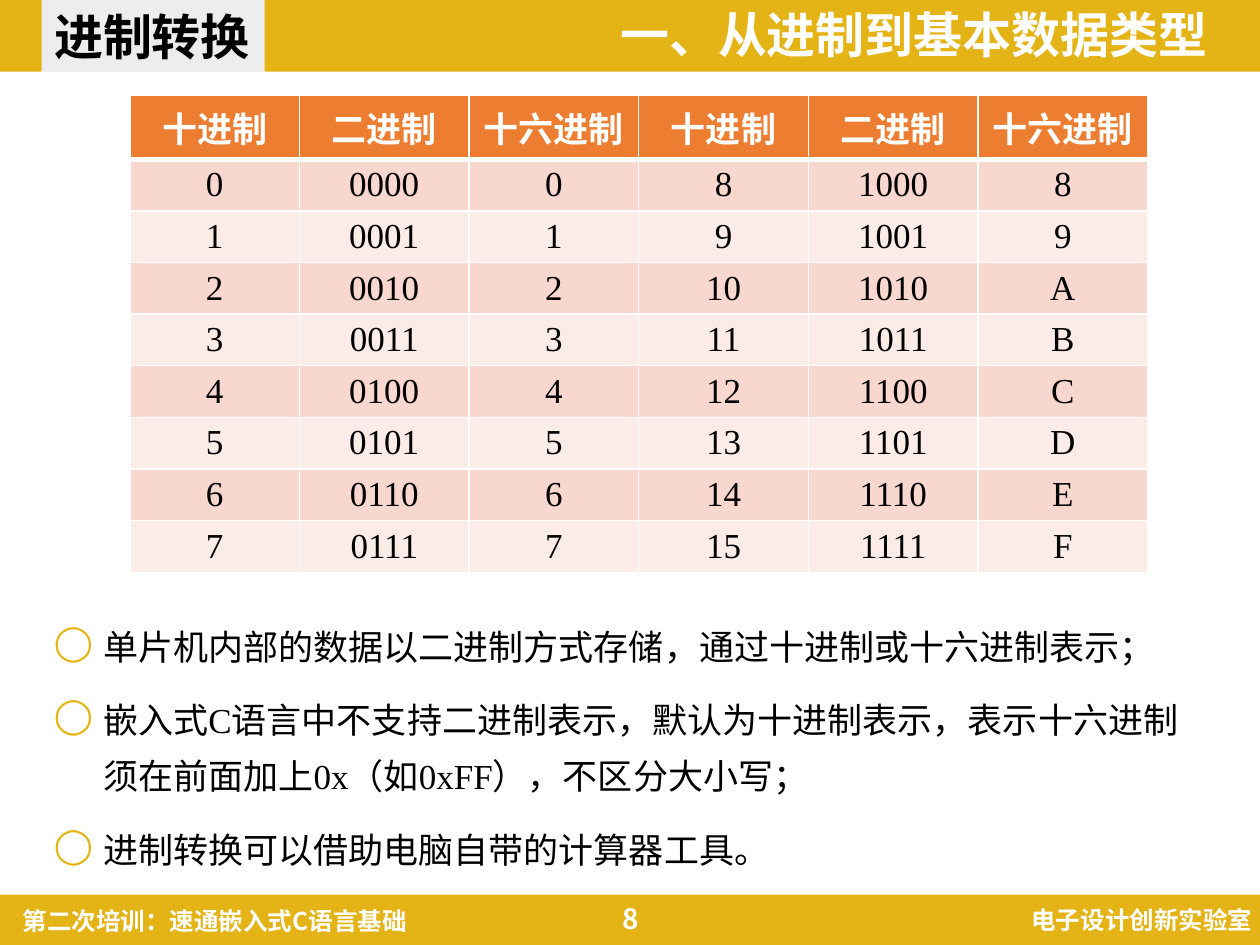
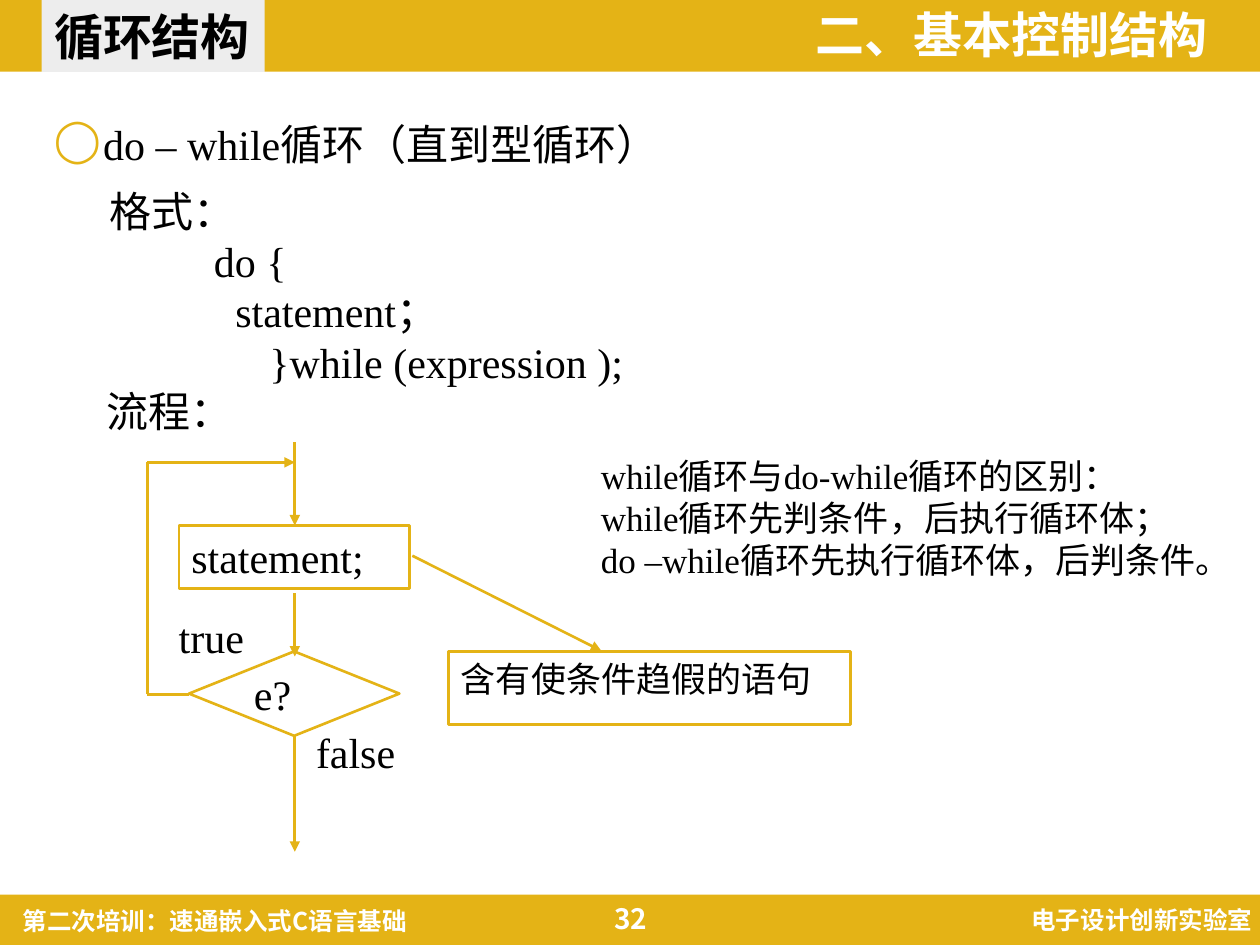
from itertools import pairwise

from lxml import etree
from pptx import Presentation
from pptx.dml.color import RGBColor
from pptx.enum.shapes import MSO_CONNECTOR, MSO_SHAPE
from pptx.enum.text import MSO_ANCHOR, MSO_AUTO_SIZE, PP_ALIGN
from pptx.oxml.ns import qn
from pptx.util import Inches, Pt

GOLD = RGBColor(0xE4, 0xB3, 0x16)
ORANGE = RGBColor(0xED, 0x7D, 0x31)
DARK_STRIPE = RGBColor(0xF8, 0xD7, 0xCE)
LIGHT_STRIPE = RGBColor(0xFC, 0xEC, 0xE8)
LIGHT_GRAY = RGBColor(0xED, 0xED, 0xED)
WHITE = RGBColor(0xFF, 0xFF, 0xFF)
BLACK = RGBColor(0, 0, 0)

HEADING_FONT = "Noto Sans CJK SC"
BODY_FONT = "Times New Roman"

RECTANGLE = MSO_SHAPE.RECTANGLE
PROCESS = MSO_SHAPE.FLOWCHART_PROCESS
DECISION = MSO_SHAPE.FLOWCHART_DECISION
CALLOUT = MSO_SHAPE.LINE_CALLOUT_1
STRAIGHT = MSO_CONNECTOR.STRAIGHT
LEFT, CENTER, RIGHT = PP_ALIGN.LEFT, PP_ALIGN.CENTER, PP_ALIGN.RIGHT
TOP, MIDDLE = MSO_ANCHOR.TOP, MSO_ANCHOR.MIDDLE
NO_AUTOFIT = MSO_AUTO_SIZE.NONE

BODY = {"name": BODY_FONT, "size": Pt(24), "bold": False}
SMALL_BODY = {**BODY, "size": Pt(20)}
TITLE = {"name": HEADING_FONT, "size": Pt(28), "bold": True}
FOOTER = {**TITLE, "size": Pt(14)}
PAGE_NUMBER = {**TITLE, "size": Pt(16)}
TABLE_HEADER = {**SMALL_BODY, "bold": True}

BULLET_INDENT = Inches(0.39)
LINE_WIDTH = Pt(1.5)


def inches(values):
    return [Inches(value) for value in values]


def add_element(parent, tag, **attributes):
    return etree.SubElement(parent, qn(tag), attributes)


def add_arrowhead(shape, tag):
    add_element(shape.line._get_or_add_ln(), tag, type="triangle")


def set_borders(cell, widths):
    """Draw white left, right, top and bottom borders, widths in points."""
    properties = cell._tc.get_or_add_tcPr()
    for side, width in zip("LRTB", widths):
        border = add_element(properties, f"a:ln{side}", w=str(Pt(width)))
        fill = add_element(border, "a:solidFill")
        add_element(fill, "a:srgbClr", val=str(WHITE))


class Deck:
    def __init__(self):
        self.presentation = Presentation()
        self.presentation.slide_width = Inches(10)
        self.presentation.slide_height = Inches(7.5)
        self.layout = self.presentation.slide_layouts.get_by_name("Title Only")
        self.slide = None

    def add_slide(self, section, topic, number):
        first = self.slide is None
        self.slide = self.presentation.slides.add_slide(self.layout)
        if first:
            self.add_bands_to_layout()
        title = self.slide.shapes.title
        title.left, title.top, title.width, title.height = inches((0.33, 0, 1.77, 0.57))
        title.fill.solid()
        title.fill.fore_color.rgb = LIGHT_GRAY
        self.set_text(title.text_frame, [topic], TITLE, anchor=MIDDLE)
        self.text((4.39, 0.07, 5.29, 0.46), [section], TITLE, WHITE, RIGHT, MIDDLE, line_spacing=0.9)
        self.text((4.39, 7.09, 1.23, 0.4), [str(number)], PAGE_NUMBER, WHITE, CENTER, MIDDLE)

    def add_bands_to_layout(self):
        """Build the bands and footers once and hand them to the shared layout."""
        shapes = [
            self.shape(RECTANGLE, (0, 7.1, 10, 0.4), fill=GOLD),
            self.shape(RECTANGLE, (0, 0, 10, 0.57), fill=GOLD),
            self.text((6.9, 7.13, 3.14, 0.34), ["电子设计创新实验室"], FOOTER, WHITE, RIGHT),
            self.text((0.08, 7.14, 3.99, 0.34), ["第二次培训：速通嵌入式C语言基础"], FOOTER, WHITE),
        ]
        for identifier, shape in enumerate(shapes, start=100):
            shape._element.nvSpPr.cNvPr.id = identifier
            self.layout.shapes._spTree.append(shape._element)

    def set_text(self, frame, lines, font, color=BLACK, align=LEFT, anchor=TOP,
                 wrap=False, line_spacing=None, bullets=False, indents=()):
        frame_format = {"word_wrap": wrap, "auto_size": NO_AUTOFIT, "vertical_anchor": anchor}
        for name, value in frame_format.items():
            setattr(frame, name, value)
        for index, line in enumerate(lines):
            paragraph = frame.paragraphs[0] if index == 0 else frame.add_paragraph()
            self.set_line(paragraph, line, font, color, align)
            if line_spacing:
                paragraph.line_spacing = line_spacing
            if bullets:
                self.add_bullet(paragraph)
            if indents:
                paragraph._p.get_or_add_pPr().set("marL", str(Inches(indents[index])))

    def set_line(self, paragraph, line, font, color, align):
        paragraph.alignment = align
        run = paragraph.add_run()
        run.text = line
        for name, value in font.items():
            setattr(run.font, name, value)
        run.font.color.rgb = color
        add_element(run._r.get_or_add_rPr(), "a:ea", typeface=HEADING_FONT)

    def add_bullet(self, paragraph):
        paragraph.line_spacing = Pt(32)
        paragraph.space_before = Pt(10)
        properties = paragraph._p.get_or_add_pPr()
        properties.set("marL", str(BULLET_INDENT))
        properties.set("indent", str(-BULLET_INDENT))
        add_element(add_element(properties, "a:buClr"), "a:srgbClr", val=str(GOLD))
        add_element(properties, "a:buChar", char="◯")

    def text(self, box, lines, font=BODY, *args, **options):
        shape = self.slide.shapes.add_textbox(*inches(box))
        self.set_text(shape.text_frame, lines, font, *args, **options)
        return shape

    def bullets(self, box, lines, font=BODY):
        self.text(box, lines, font, wrap=True, bullets=True)

    def shape(self, kind, box, lines=(), font=BODY, fill=None, **options):
        """Add a filled shape without outline, or a gold outline without fill."""
        shape = self.slide.shapes.add_shape(kind, *inches(box))
        shape.shadow.inherit = False
        if fill:
            shape.fill.solid()
            shape.fill.fore_color.rgb = fill
            shape.line.fill.background()
        else:
            shape.fill.background()
            shape.line.color.rgb = GOLD
            shape.line.width = LINE_WIDTH
        self.set_text(shape.text_frame, lines, font, **options)
        return shape

    def callout(self, box, lines, adjustments):
        shape = self.shape(CALLOUT, box, lines, SMALL_BODY, wrap=True)
        for index, value in enumerate(adjustments):
            shape.adjustments[index] = value
        add_arrowhead(shape, "a:headEnd")

    def arrow(self, *points):
        """Join the points with straight lines; the last one gets an arrowhead."""
        for start, end in pairwise(points):
            connector = self.slide.shapes.add_connector(STRAIGHT, *inches(start + end))
            connector.line.color.rgb = GOLD
            connector.line.width = LINE_WIDTH
            add_element(connector._element.spPr, "a:effectLst")
        add_arrowhead(connector, "a:tailEnd")

    def table(self, box, rows, header_height, row_height):
        frame = self.slide.shapes.add_table(len(rows), len(rows[0]), *inches(box))
        for row_index, values in enumerate(rows):
            header = row_index == 0
            row = frame.table.rows[row_index]
            row.height = Inches(header_height if header else row_height)
            stripe = DARK_STRIPE if row_index % 2 else LIGHT_STRIPE
            borders = (1, 1, 3 if row_index == 1 else 1, 3 if header else 1)
            for cell, value in zip(row.cells, values):
                set_borders(cell, borders)
                cell.fill.solid()
                cell.fill.fore_color.rgb = ORANGE if header else stripe
                self.set_line(cell.text_frame.paragraphs[0], value,
                              TABLE_HEADER if header else SMALL_BODY,
                              WHITE if header else BLACK, CENTER)


def build_number_systems(deck):
    deck.add_slide("一、从进制到基本数据类型", "进制转换", 8)
    rows = [["十进制", "二进制", "十六进制"] * 2]
    for low in range(8):
        rows.append([form for number in (low, low + 8)
                     for form in (f"{number}", f"{number:04b}", f"{number:X}")])
    deck.bullets((0.33, 4.8, 9.35, 2.29), [
        "单片机内部的数据以二进制方式存储，通过十进制或十六进制表示；",
        "嵌入式C语言中不支持二进制表示，默认为十进制表示，表示十六进制须在前面加上0x（如0xFF），不区分大小写；",
        "进制转换可以借助电脑自带的计算器工具。",
    ], SMALL_BODY)
    deck.table((1.03, 0.76, 8.08, 3.77), rows, 0.49, 0.41)


def build_do_while_loop(deck):
    deck.add_slide("二、基本控制结构", "循环结构", 32)
    deck.bullets((0.33, 0.85, 5.14, 0.57), ["do – while循环（直到型循环）"])
    deck.text((0.77, 1.42, 4.46, 1.72),
              ["格式：", "do {", "statement；", "}while (expression );"],
              indents=(0, 0.83, 1, 1.27))
    deck.text((0.75, 3.01, 1.21, 0.51), ["流程："])

    axis, loop_left, loop_top, decision_middle = 2.34, 1.17, 3.67, 5.51
    deck.arrow((axis, 3.51), (axis, 4.17))
    deck.shape(PROCESS, (1.42, 4.17, 1.83, 0.5), ["statement;"], anchor=MIDDLE)
    deck.arrow((axis, 4.71), (axis, 5.21))
    deck.shape(DECISION, (1.5, 5.17, 1.67, 0.67), ["e?"], anchor=MIDDLE)
    deck.arrow((1.5, decision_middle), (loop_left, decision_middle),
               (loop_left, loop_top), (axis, loop_top))
    deck.text((1.32, 4.8, 0.72, 0.51), ["true"])
    deck.text((2.41, 5.72, 0.85, 0.51), ["false"])
    deck.arrow((axis, 5.84), (axis, 6.76))
    deck.callout((3.56, 5.17, 3.19, 0.58), ["含有使条件趋假的语句"],
                 (-0.01, 0.38, -1.31, -0.09))
    deck.text((4.67, 3.56, 5.24, 1.11), [
        "while循环与do-while循环的区别：",
        "while循环先判条件，后执行循环体；",
        "do –while循环先执行循环体，后判条件。",
    ], SMALL_BODY)


def main():
    deck = Deck()
    build_number_systems(deck)
    build_do_while_loop(deck)
    deck.presentation.save("out.pptx")


if __name__ == "__main__":
    main()
